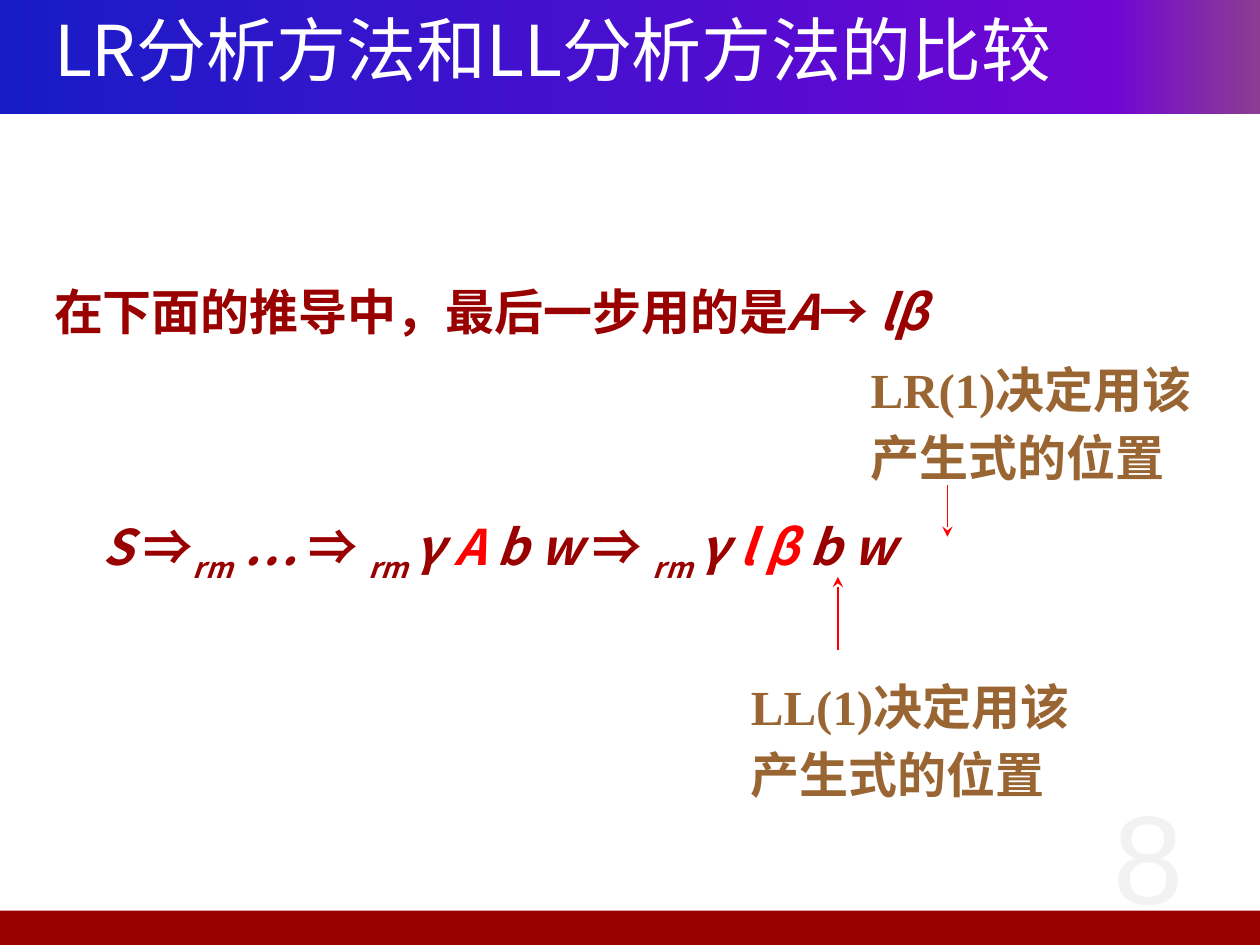
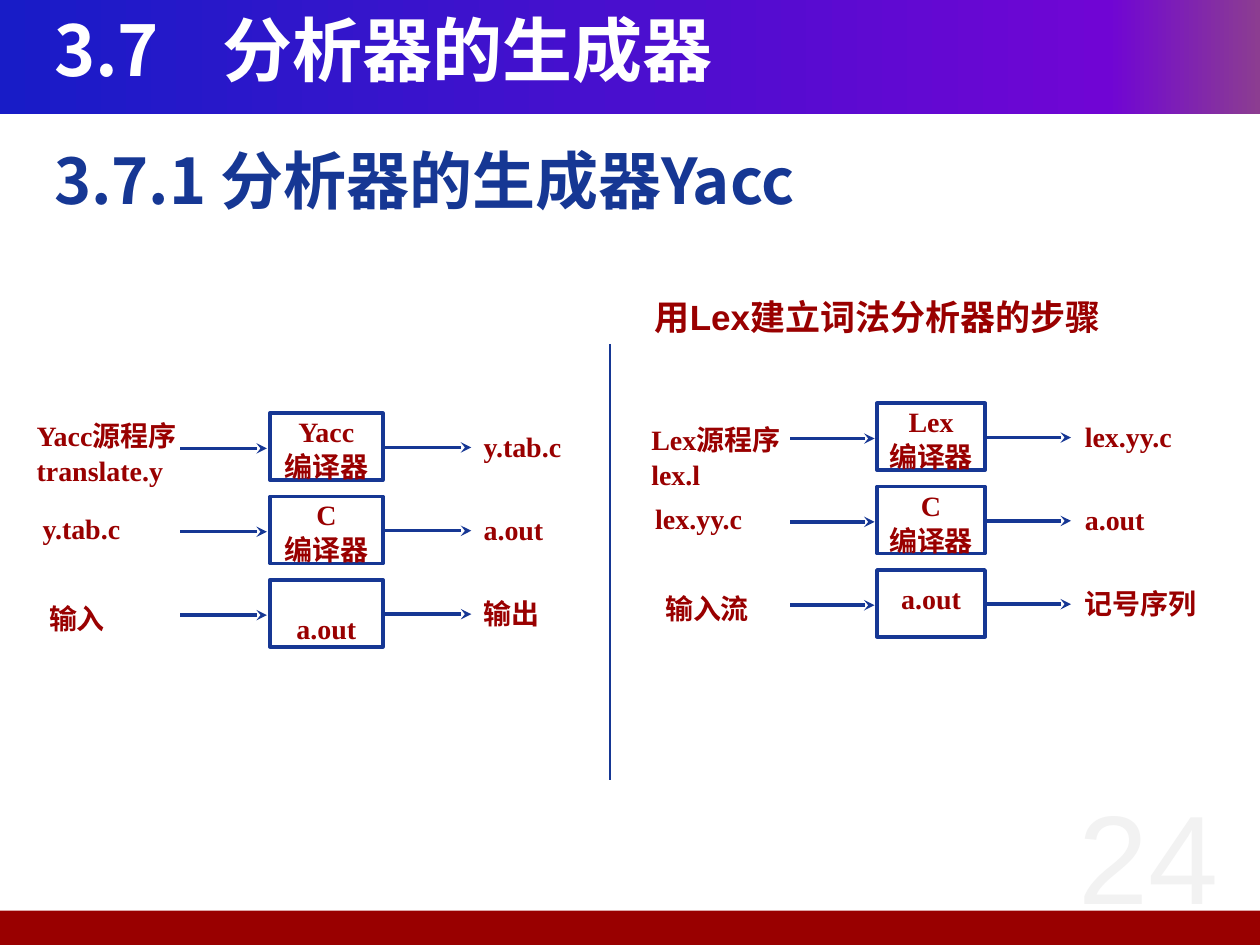
import copy

import lxml.etree
import pptx
import pptx.dml.color
import pptx.enum.shapes
import pptx.enum.text
import pptx.oxml.ns
import pptx.util

Cm, Pt = pptx.util.Cm, pptx.util.Pt
RGB = pptx.dml.color.RGBColor
PP_ALIGN = pptx.enum.text.PP_ALIGN
RECT = pptx.enum.shapes.MSO_SHAPE.RECTANGLE
STRAIGHT = pptx.enum.shapes.MSO_CONNECTOR.STRAIGHT
qn = pptx.oxml.ns.qn

# Shared look
WHITE = RGB(0xFF, 0xFF, 0xFF)
DARK_RED = RGB(0x99, 0x00, 0x00)
RED = RGB(0xFF, 0x00, 0x00)
BROWN = RGB(0x99, 0x66, 0x33)
NAVY = RGB(0x16, 0x37, 0x94)
PALE_GREY = RGB(0xF2, 0xF2, 0xF2)
BAND_STOPS = [(0, RGB(0x18, 0x1C, 0xC7)), (0.88, RGB(0x70, 0x05, 0xD4)),
              (1, RGB(0x8C, 0x3D, 0x91))]
SANS, SERIF, NUMBER_FONT = "Noto Sans CJK SC", "Times New Roman", "Arial"
SLIDE_W, SLIDE_H = 25.4, 19.05
TEXT_X = 1.09

# Slide 1: runs are (text, flags): i = italic, s = subscript, r = red
COMPARE_TITLE = "LR分析方法和LL分析方法的比较"
LAST_STEP = [("在下面的推导中，最后一步用的是", ""), ("A", "i"), ("→ ", ""), ("lβ", "i")]
DERIVATION = [
    ("S ", "i"), ("⇒", ""), ("rm", "is"), (" … ", "i"),
    ("⇒ ", ""), ("rm ", "is"), ("γ ", "i"), ("A", "ir"), (" b w ", "i"),
    ("⇒ ", ""), ("rm ", "is"), ("γ ", "i"), ("l β", "ir"), (" b w", "i"),
]
# Method, label x and y, arrow x, arrow start y and tip y
DECISIONS = [
    ("LL(1)", 15.14, 13.45, 16.89, 13.11, 11.63),
    ("LR(1)", 17.55, 7.06, 19.1, 9.78, 10.82),
]

# Slide 2
GENERATOR_TITLE = "3.7\t分析器的生成器"
YACC_HEADING = "3.7.1 分析器的生成器Yacc"
LEX_HEADING = "用Lex建立词法分析器的步骤"
# Rows: input lines, input x, input drop, box lines, box text drop, output
PIPELINES = [
    dict(top=8.33, arrow_in=(3.63, 5.38), box=(5.44, 2.28),
         arrow_out=(7.72, 9.5), output_x=9.75, rows=[
             (["Yacc源程序", "translate.y"], 0.74, 0.08, ["Yacc", "编译器"], 0, "y.tab.c"),
             (["y.tab.c"], 0.86, 0.28, ["C", "编译器"], 0, "a.out"),
             (["输入"], 0.99, 0.41, ["a.out"], 0.61, "输出")]),
    dict(top=8.13, arrow_in=(15.93, 17.63), box=(17.68, 2.18),
         arrow_out=(19.89, 21.59), output_x=21.87, rows=[
             (["Lex源程序", "lex.l"], 13.13, 0.36, ["Lex", "编译器"], 0, "lex.yy.c"),
             (["lex.yy.c"], 13.21, 0.28, ["C", "编译器"], 0, "a.out"),
             (["输入流"], 13.41, 0.41, ["a.out"], 0.2, "记号序列")]),
]
ROW_PITCH, BOX_H = 1.68, 1.35


def style_run(r, size, color, font, bold):
    r.font.size, r.font.bold, r.font.name = Pt(size), bold, font
    r.font.color.rgb = color
    east_asian = lxml.etree.Element(qn("a:ea"), typeface=SANS)
    r.font._element.find(qn("a:latin")).addnext(east_asian)


def fill_text(tf, lines, size, color, font=SANS, bold=True, align=None, spacing=None):
    """Write lines; each is a string or a list of (text, flags) runs."""
    tf.margin_left = tf.margin_right = tf.margin_top = tf.margin_bottom = 0
    tf.vertical_anchor = pptx.enum.text.MSO_ANCHOR.TOP
    for i, line in enumerate(lines):
        p = tf.add_paragraph() if i else tf.paragraphs[0]
        p.alignment = align
        if spacing:
            p.line_spacing = Pt(spacing)
        if isinstance(line, str):
            p.text = line
            for r in p.runs:
                style_run(r, size, color, font, bold)
            continue
        for text, flags in line:
            r = p.add_run()
            r.text = text
            style_run(r, size, RED if "r" in flags else color, font, bold)
            r.font.italic = "i" in flags
            if "s" in flags:
                r.font._element.set("baseline", "-25000")


def add_text(s, x, y, w, h, lines, size, color, **look):
    tf = s.shapes.add_textbox(Cm(x), Cm(y), Cm(w), Cm(h)).text_frame
    tf.word_wrap = True
    fill_text(tf, lines, size, color, **look)
    return tf


def add_rect(s, x, y, w, h):
    sp = s.shapes.add_shape(RECT, Cm(x), Cm(y), Cm(w), Cm(h))
    sp.shadow.inherit = False
    return sp


def add_line(s, x1, y1, x2, y2, color, width, arrow=True):
    line = s.shapes.add_connector(STRAIGHT, Cm(x1), Cm(y1), Cm(x2), Cm(y2))
    line.line.color.rgb, line.line.width = color, Pt(width)
    if arrow:
        lxml.etree.SubElement(line.line._get_or_add_ln(), qn("a:tailEnd"), type="stealth")
    lxml.etree.SubElement(line._element.spPr, qn("a:effectLst"))


def new_slide(prs, title, number, bold):
    s = prs.slides.add_slide(prs.slide_layouts[6])
    # Title band with three gradient stops
    band = add_rect(s, 0, 0, SLIDE_W, 2.31)
    band.line.fill.background()
    band.fill.gradient()
    band.fill.gradient_angle = 0
    stops = band._element.spPr.find(".//" + qn("a:gsLst"))
    stops.append(copy.deepcopy(stops[-1]))
    for stop, (position, color) in zip(band.fill.gradient_stops, BAND_STOPS):
        stop.position, stop.color.rgb = position, color
    # Footer band
    footer = add_rect(s, 0, 18.36, SLIDE_W, SLIDE_H - 18.36)
    footer.fill.solid()
    footer.fill.fore_color.rgb = DARK_RED
    footer.line.fill.background()
    # Title and page number
    tf = add_text(s, TEXT_X, 0.14, 23.2, 2.04, [title], 40, WHITE, bold=bold)
    if "\t" in title:
        tabs = lxml.etree.SubElement(tf.paragraphs[0]._p.get_or_add_pPr(), qn("a:tabLst"))
        lxml.etree.SubElement(tabs, qn("a:tab"), pos=str(Cm(3.4)), algn="l")
    add_text(s, 20.9, 15.7, 4.5, 2.6, [number], 72, PALE_GREY, font=NUMBER_FONT,
             bold=False, align=PP_ALIGN.CENTER)
    return s


def build_comparison(prs):
    s = new_slide(prs, COMPARE_TITLE, "8", bold=False)
    add_text(s, TEXT_X, 5.67, 23, 1.43, [LAST_STEP], 28, DARK_RED)
    add_text(s, 2.06, 10.42, 22, 1.43, [DERIVATION], 28, DARK_RED)
    for method, x, y, arrow_x, start, tip in DECISIONS:
        add_text(s, x, y, 7.2, 2.75, [method + "决定用该", "产生式的位置"], 28, BROWN,
                 font=SERIF, spacing=39)
        add_line(s, arrow_x, start, arrow_x, tip, RED, 1)


def build_generators(prs):
    s = new_slide(prs, GENERATOR_TITLE, "24", bold=True)
    add_text(s, TEXT_X, 2.86, 23.2, 1.84, [YACC_HEADING], 36, NAVY)
    look = dict(size=16, color=DARK_RED, font=SERIF, spacing=20)
    for flow in PIPELINES:
        box_x, box_w = flow["box"]
        for i, (source, source_x, drop, tool, tool_drop, output) in enumerate(flow["rows"]):
            y = flow["top"] + i * ROW_PITCH
            box = add_rect(s, box_x, y, box_w, BOX_H)
            box.fill.background()
            box.line.color.rgb, box.line.width = NAVY, Pt(2)
            fill_text(box.text_frame, tool, align=PP_ALIGN.CENTER, **look)
            box.text_frame.margin_top = Cm(tool_drop)
            for (start, end), dy in ((flow["arrow_in"], 0.71), (flow["arrow_out"], 0.69)):
                add_line(s, start, y + dy, end, y + dy, NAVY, 2)
            add_text(s, source_x, y + drop, 3.3, 0.71 * len(source), source, **look)
            add_text(s, flow["output_x"], y + 0.3, 2.5, 0.71, [output], **look)
    # Divider and heading of the right half
    add_line(s, 12.29, 6.93, 12.29, 15.72, NAVY, 1, arrow=False)
    add_text(s, 13.2, 5.95, 10.5, 1.02, [LEX_HEADING], 20, DARK_RED, font=NUMBER_FONT)


def main():
    prs = pptx.Presentation()
    prs.slide_width, prs.slide_height = Cm(SLIDE_W), Cm(SLIDE_H)
    build_comparison(prs)
    build_generators(prs)
    prs.save("out.pptx")


if __name__ == "__main__":
    main()
